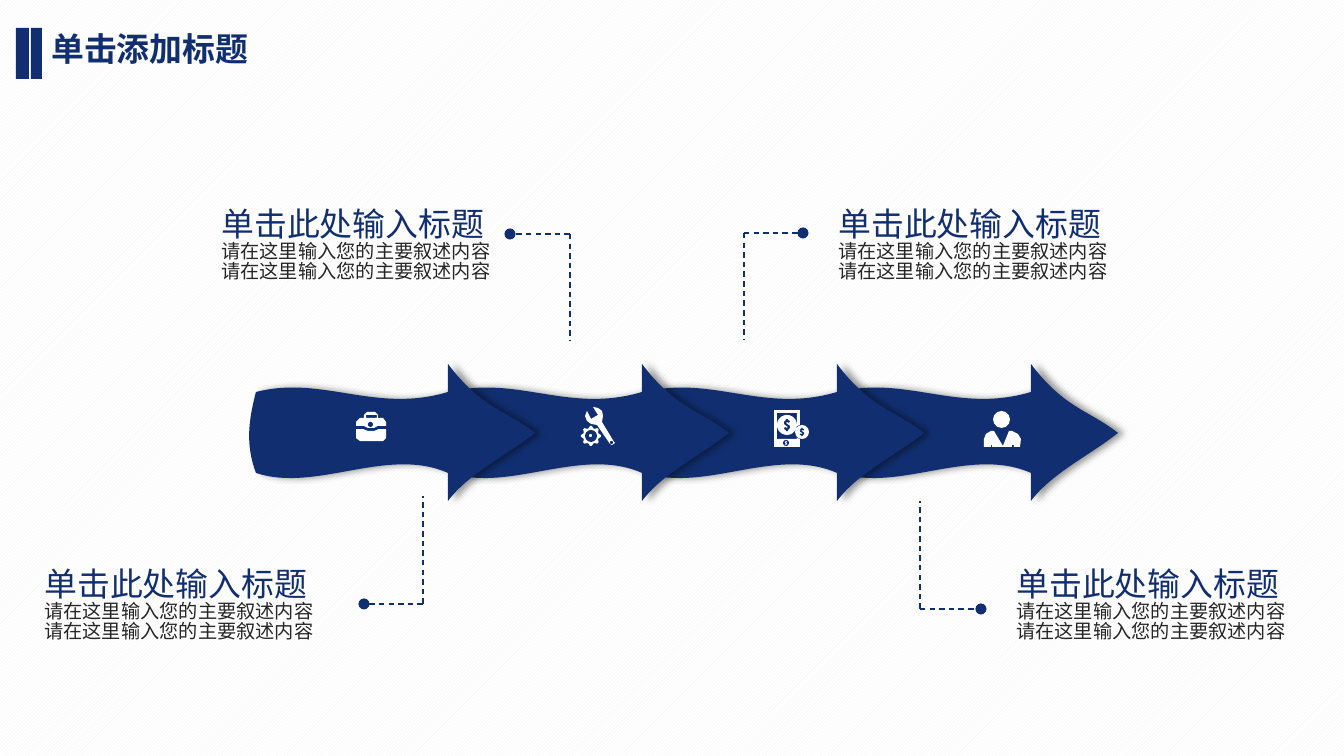
"""Build a four-step arrow process slide with icons and callouts."""
from dataclasses import dataclass
from math import cos, pi, sin
from typing import Any

from lxml.etree import SubElement
from pptx import Presentation
from pptx.dml.color import RGBColor
from pptx.enum.dml import MSO_LINE, MSO_PATTERN
from pptx.enum.shapes import MSO_CONNECTOR, MSO_SHAPE
from pptx.enum.text import MSO_ANCHOR, PP_ALIGN
from pptx.oxml.ns import qn
from pptx.util import Inches, Pt

SCALE = Inches(10) / 1344
NAVY = RGBColor(0x11, 0x2F, 0x70)
WHITE = RGBColor(0xFF, 0xFF, 0xFF)
STRIPE = RGBColor(0xF2, 0xF2, 0xF2)
BODY = RGBColor(0x26, 0x26, 0x26)
FONT = "Noto Sans CJK SC"
HEADING_FORMAT = {"name": FONT, "size": Pt(17.6), "bold": False}
BODY_FORMAT = {"name": FONT, "size": Pt(10.3), "bold": False}
TITLE_FORMAT = {**HEADING_FORMAT, "bold": True}
Point = tuple[float, float]
Contour = list[Point]


@dataclass(frozen=True)
class Line:
    text: str
    format: dict[str, Any]
    color: RGBColor


@dataclass(frozen=True)
class Callout:
    left: int
    top: int
    corner_x: int
    corner_y: int
    arrow_y: int
    dot_x: int


@dataclass(frozen=True)
class Disc:
    left: int
    top: int
    size: int
    color: RGBColor = WHITE


@dataclass(frozen=True)
class Outline:
    contours: list[Contour]
    color: RGBColor = WHITE


CALLOUT_LINES = [
    Line("单击此处输入标题", HEADING_FORMAT, NAVY),
    *[Line("请在这里输入您的主要叙述内容", BODY_FORMAT, BODY)] * 2,
]
CALLOUTS = [
    Callout(31, 563, 423, 604, 496, 364),
    Callout(1003, 563, 920, 609, 501, 981),
    Callout(825, 203, 744, 233, 339, 803),
    Callout(208, 203, 570, 234, 340, 510),
]
ARROW = [
    (7, 392), (74, 375), (126, 414), (199, 392), (199, 364), (233, 409), (257, 410),
    (286, 433), (257, 456), (220, 473), (199, 501), (199, 473), (138, 446), (67, 493),
    (7, 473), (-4, 444), (0, 419), (7, 392),
]
ARROW_CURVES = (0, 4, 7, 11, 14)


def px(length: float) -> int:
    """Turn px into EMU."""
    return round(length * SCALE)


def box(left: int, top: int, right: int, bottom: int) -> Contour:
    """Outline a rectangle."""
    return [(left, top), (right, top), (right, bottom), (left, bottom)]


def gear(x: int, y: int) -> Contour:
    """Outline a wheel with eight teeth."""
    angles = [(i - 0.5) * pi / 16 for i in range(32)]
    radii = [10, 10, 8, 8] * 8
    return [(x + r * cos(a), y + r * sin(a)) for r, a in zip(radii, angles)]


def dollar(x: int, y: int, unit: float) -> Contour:
    """Outline a dollar sign, which is symmetric about its centre."""
    half = [(-1, -6), (1, -6), (1, -5), (3, -4), (2, -2), (0, -3), (-1, -2), (3, 1), (3, 3), (1, 5)]
    return [(x + s * dx * unit, y + s * dy * unit) for s in (1, -1) for dx, dy in half]


PERSON = [
    Disc(993, 411, 17),
    Outline([[(984, 447), (984, 439), (986, 434), (991, 431), (994, 431), (1003, 446),
              (1009, 431), (1012, 431), (1018, 434), (1021, 439), (1020, 447), (1014, 447),
              (1014, 445), (1012, 445), (1012, 447), (992, 447), (992, 445), (991, 445),
              (991, 447)]]),
]
PHONE = [
    Outline([[(774, 410), (800, 410), (800, 425), (797, 426), (797, 438), (800, 439),
              (800, 447), (774, 447)], box(777, 413, 797, 439)]),
    Disc(783, 440, 6, NAVY),
    Outline([dollar(786, 443, 0.35)]),
    Disc(777, 415, 20),
    Outline([dollar(787, 425, 1)], NAVY),
    Disc(795, 425, 14),
    Outline([dollar(802, 432, 0.7)], NAVY),
]
TOOLS = [
    Outline([[(614, 442), (602, 422), (603, 416), (602, 411), (598, 408), (593, 407), (598, 415),
              (591, 419), (587, 411), (585, 416), (587, 421), (591, 424), (597, 425), (610, 444),
              (612, 445), (615, 443)]]),
    Disc(610, 441, 3, NAVY),
    Outline([gear(591, 436)]),
    Disc(585, 430, 12, NAVY),
    Disc(589, 434, 3),
]
BRIEFCASE = [
    Outline([[(363, 429), (368, 431), (374, 431), (379, 429), (386, 429), (386, 438), (383, 441),
              (360, 441), (356, 438), (356, 429)]]),
    Outline([[(386, 422), (386, 426), (378, 426), (374, 428), (368, 428), (364, 426), (356, 426),
              (356, 422), (360, 418), (364, 418), (364, 415), (367, 412), (375, 412), (378, 415),
              (378, 418), (383, 418)], box(366, 415, 377, 418)]),
    Disc(368, 422, 5, NAVY),
]
ICONS = [BRIEFCASE, TOOLS, PHONE, PERSON]


def paint(shape: Any, color: RGBColor) -> None:
    """Give a shape a plain fill without line or shadow."""
    shape.shadow.inherit = False
    shape.fill.solid()
    shape.fill.fore_color.rgb = color
    shape.line.fill.background()


def add_preset(slide: Any, kind: MSO_SHAPE, frame: tuple[int, ...], color: RGBColor) -> None:
    """Draw a plain preset shape."""
    paint(slide.shapes.add_shape(kind, *map(px, frame)), color)


def add_outline(slide: Any, outline: Outline) -> Any:
    """Draw closed contours as one freeform."""
    points = [[(px(x), px(y)) for x, y in contour] for contour in outline.contours]
    builder = slide.shapes.build_freeform(*points[0][0])
    builder.add_line_segments(points[0][1:])
    for contour in points[1:]:
        builder.move_to(*contour[0])
        builder.add_line_segments(contour[1:])
    shape = builder.convert_to_shape()
    paint(shape, outline.color)
    return shape


def add_arrow(slide: Any, left: int) -> None:
    """Draw a wavy arrow with curved sides and a shadow."""
    shape = add_outline(slide, Outline([[(left + x, y) for x, y in ARROW]], NAVY))
    properties = shape.element.spPr
    segments = list(properties.iter(qn("a:lnTo")))
    for start in ARROW_CURVES:
        first, *others = segments[start:start + 3]
        first.tag = qn("a:cubicBezTo")
        for segment in others:
            first.append(segment[0])
            segment.getparent().remove(segment)
    effects = properties.find(qn("a:effectLst"))
    shadow = SubElement(effects, qn("a:outerShdw"), blurRad=str(Pt(4)), dist=str(Pt(3)), dir="0")
    color = SubElement(shadow, qn("a:srgbClr"), val="000000")
    SubElement(color, qn("a:alpha"), val="40000")


def add_step(slide: Any, index: int) -> None:
    """Draw an arrow and its icon."""
    add_arrow(slide, 249 + round(194.4 * index))
    for part in ICONS[index]:
        if isinstance(part, Disc):
            add_preset(slide, MSO_SHAPE.OVAL, (part.left, part.top, part.size, part.size), part.color)
        else:
            add_outline(slide, part)


def add_dash(slide: Any, start: Point, end: Point, dot: bool = False) -> None:
    """Draw a dashed line, with a dot at its end if asked."""
    ends = [px(length) for length in (*start, *end)]
    connector = slide.shapes.add_connector(MSO_CONNECTOR.STRAIGHT, *ends)
    connector.line.color.rgb = NAVY
    for name, value in {"width": Pt(0.75), "dash_style": MSO_LINE.DASH}.items():
        setattr(connector.line, name, value)
    properties = connector.element.spPr
    if dot:
        SubElement(properties.find(qn("a:ln")), qn("a:tailEnd"), type="oval")
    SubElement(properties, qn("a:effectLst"))


def add_text(slide: Any, frame: tuple[int, ...], lines: list[Line], wrap: bool) -> None:
    """Write lines as paragraphs of a text box."""
    text_frame = slide.shapes.add_textbox(*map(px, frame)).text_frame
    for name, value in {"word_wrap": wrap, "vertical_anchor": MSO_ANCHOR.TOP}.items():
        setattr(text_frame, name, value)
    for index, line in enumerate(lines):
        paragraph = text_frame.add_paragraph() if index else text_frame.paragraphs[0]
        for name, value in {"alignment": PP_ALIGN.LEFT, "line_spacing": 0.85}.items():
            setattr(paragraph, name, value)
        run = paragraph.add_run()
        run.text = line.text
        for name, value in line.format.items():
            setattr(run.font, name, value)
        run.font.color.rgb = line.color
        SubElement(run.font._element, qn("a:ea"), typeface=FONT)


def main() -> None:
    """Build and save the slide."""
    presentation = Presentation()
    presentation.slide_width, presentation.slide_height = px(1344), px(756)
    slide = presentation.slides.add_slide(presentation.slide_layouts[6])
    background = slide.background.fill
    background.patterned()
    background.pattern = MSO_PATTERN.LIGHT_UPWARD_DIAGONAL
    background.fore_color.rgb, background.back_color.rgb = STRIPE, WHITE
    add_text(slide, (38, 28, 325, 54), [Line("单击添加标题", TITLE_FORMAT, NAVY)], True)
    for left, width in ((16, 13), (31, 11)):
        add_preset(slide, MSO_SHAPE.RECTANGLE, (left, 28, width, 51), NAVY)
    for index in reversed(range(len(ICONS))):
        add_step(slide, index)
    for callout in CALLOUTS:
        corner = (callout.corner_x, callout.corner_y)
        add_dash(slide, corner, (callout.corner_x, callout.arrow_y))
        add_dash(slide, corner, (callout.dot_x, callout.corner_y), dot=True)
        add_text(slide, (callout.left, callout.top, 297, 153), CALLOUT_LINES, False)
    presentation.save("out.pptx")


if __name__ == "__main__":
    main()
